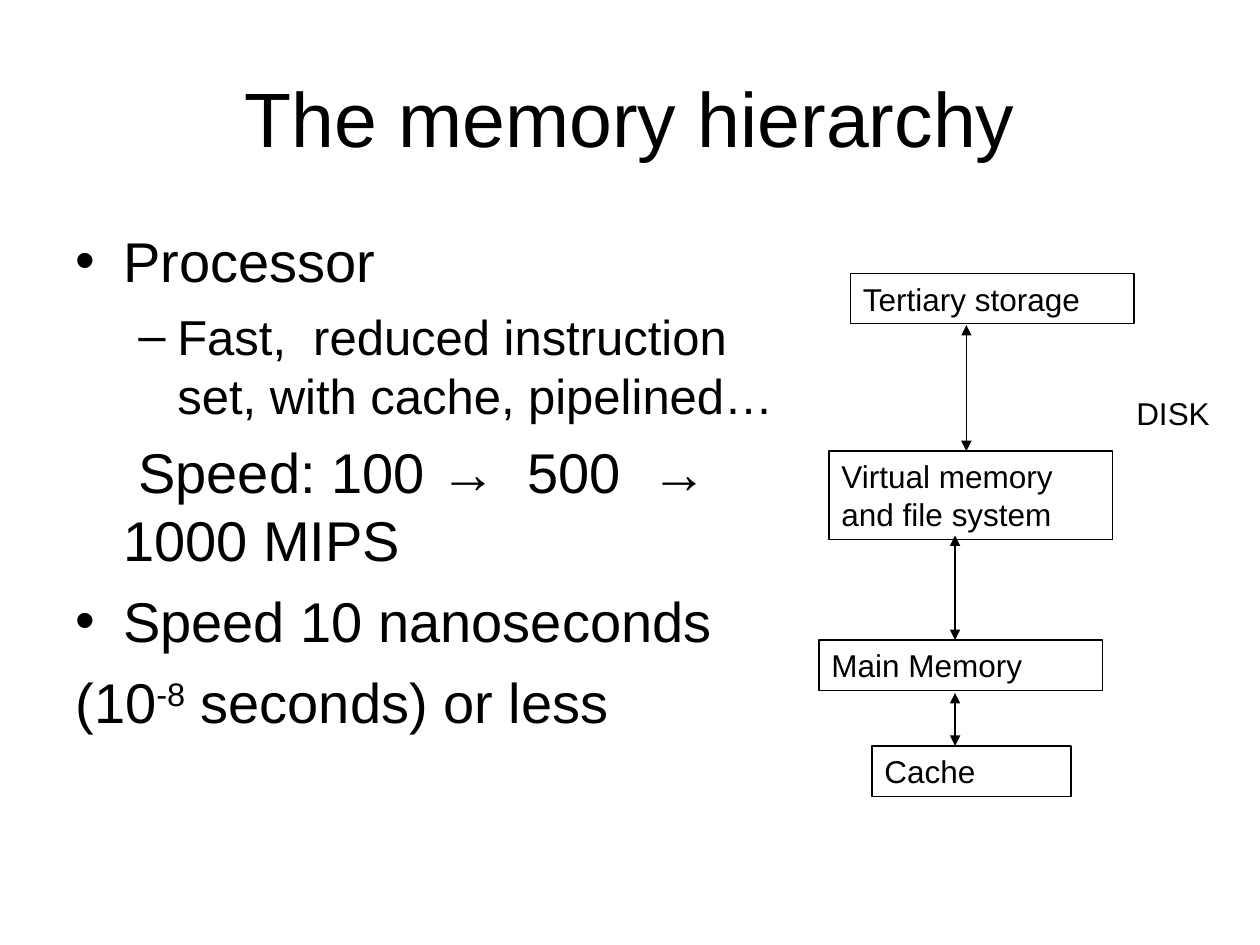
"""Build the memory hierarchy slide."""
from lxml.etree import SubElement
from pptx import Presentation
from pptx.dml.color import RGBColor
from pptx.enum.shapes import MSO_CONNECTOR, MSO_SHAPE
from pptx.enum.text import MSO_ANCHOR, MSO_AUTO_SIZE, PP_ALIGN
from pptx.oxml.ns import qn
from pptx.util import Inches, Pt

THEME = {
    "font": "Arial",
    "ink": RGBColor(0, 0, 0),
    "title": 44,
    "body": 32,
    "detail": 28,
    "label": 18,
    "line": 0.75,
}

TITLE = "The memory hierarchy"
TOP = {"size": THEME["body"], "before": 8, "left": 0.38, "first": -0.38}
BODY = [
    ("Processor", {**TOP, "bullet": "•"}),
    (
        "Fast,  reduced instruction set, with cache, pipelined…",
        {"size": THEME["detail"], "before": 7, "left": 0.81, "first": -0.31, "bullet": "–", "level": 1},
    ),
    ("Speed: 100 →  500  →  1000 MIPS", {**TOP, "first": 0.12}),
    ("Speed 10 nanoseconds", {**TOP, "bullet": "•"}),
    (["(10", ("-8", 30), " seconds) or less"], TOP),
]
STORES = [
    ("Cache", (6.92, 5.92, 1.58, 0.4)),
    ("Main Memory", (6.5, 5.08, 2.25, 0.4)),
    ("Virtual memory and file system", (6.58, 3.58, 2.25, 0.7)),
    ("Tertiary storage", (6.75, 2.17, 2.25, 0.4)),
]
DISK = ("DISK", (8.92, 3.08, 0.8, 0.4))
ARROWS = [(7.67, 2.58, 3.58), (7.58, 4.25, 5.08), (7.58, 5.5, 5.92)]


def write(paragraph, text, size=THEME["label"], align=PP_ALIGN.LEFT, before=0,
          left=0, first=0, bullet=None, level=0):
    """Write text, or a list of text parts with raised ones, into a paragraph."""
    paragraph.alignment = align
    paragraph.level = level
    paragraph.space_before = Pt(before)
    properties = paragraph._p.get_or_add_pPr()
    properties.set("marL", str(Inches(left)))
    properties.set("indent", str(Inches(first)))
    if bullet:
        SubElement(properties, qn("a:buFont")).set("typeface", THEME["font"])
        SubElement(properties, qn("a:buChar")).set("char", bullet)
    else:
        SubElement(properties, qn("a:buNone"))
    for part in [text] if isinstance(text, str) else text:
        words, raised = (part, 0) if isinstance(part, str) else part
        run = paragraph.add_run()
        run.text = words
        run.font.name = THEME["font"]
        run.font.size = Pt(size)
        run.font.color.rgb = THEME["ink"]
        if raised:
            run._r.get_or_add_rPr().set("baseline", str(raised * 1000))


def add_text_box(slide, place, wrap=True, anchor=MSO_ANCHOR.TOP, fit=MSO_AUTO_SIZE.NONE):
    """Add an empty text box and return its text frame."""
    frame = slide.shapes.add_textbox(*map(Inches, place)).text_frame
    frame.word_wrap = wrap
    frame.vertical_anchor = anchor
    frame.auto_size = fit
    return frame


def add_store(slide, name, place):
    """Add an outlined box for one level of the hierarchy."""
    shape = slide.shapes.add_shape(MSO_SHAPE.RECTANGLE, *map(Inches, place))
    shape.shadow.inherit = False
    shape.fill.background()
    shape.line.color.rgb = THEME["ink"]
    shape.line.width = Pt(THEME["line"])
    shape.text_frame.word_wrap = True
    shape.text_frame.vertical_anchor = MSO_ANCHOR.TOP
    write(shape.text_frame.paragraphs[0], name)


def add_arrow(slide, x, top, bottom):
    """Add a vertical arrow with a head at both ends."""
    connector = slide.shapes.add_connector(
        MSO_CONNECTOR.STRAIGHT, *map(Inches, (x, top, x, bottom)))
    connector.line.color.rgb = THEME["ink"]
    connector.line.width = Pt(THEME["line"])
    properties = connector._element.spPr
    for end in ("a:headEnd", "a:tailEnd"):
        SubElement(properties.find(qn("a:ln")), qn(end)).set("type", "triangle")
    SubElement(properties, qn("a:effectLst"))


def main():
    """Assemble and save the slide."""
    presentation = Presentation()
    presentation.slide_width, presentation.slide_height = Inches(10), Inches(7.5)
    slide = presentation.slides.add_slide(presentation.slide_layouts[6])

    title = add_text_box(slide, (0.5, 0.3, 9, 1.25), anchor=MSO_ANCHOR.MIDDLE)
    write(title.paragraphs[0], TITLE, size=THEME["title"], align=PP_ALIGN.CENTER)

    body = add_text_box(slide, (0.5, 1.75, 5.83, 4.95))
    for index, (text, style) in enumerate(BODY):
        write(body.add_paragraph() if index else body.paragraphs[0], text, **style)

    for name, place in STORES:
        add_store(slide, name, place)
    name, place = DISK
    label = add_text_box(slide, place, wrap=False, fit=MSO_AUTO_SIZE.SHAPE_TO_FIT_TEXT)
    write(label.paragraphs[0], name)
    for arrow in ARROWS:
        add_arrow(slide, *arrow)

    presentation.save("out.pptx")


if __name__ == "__main__":
    main()
